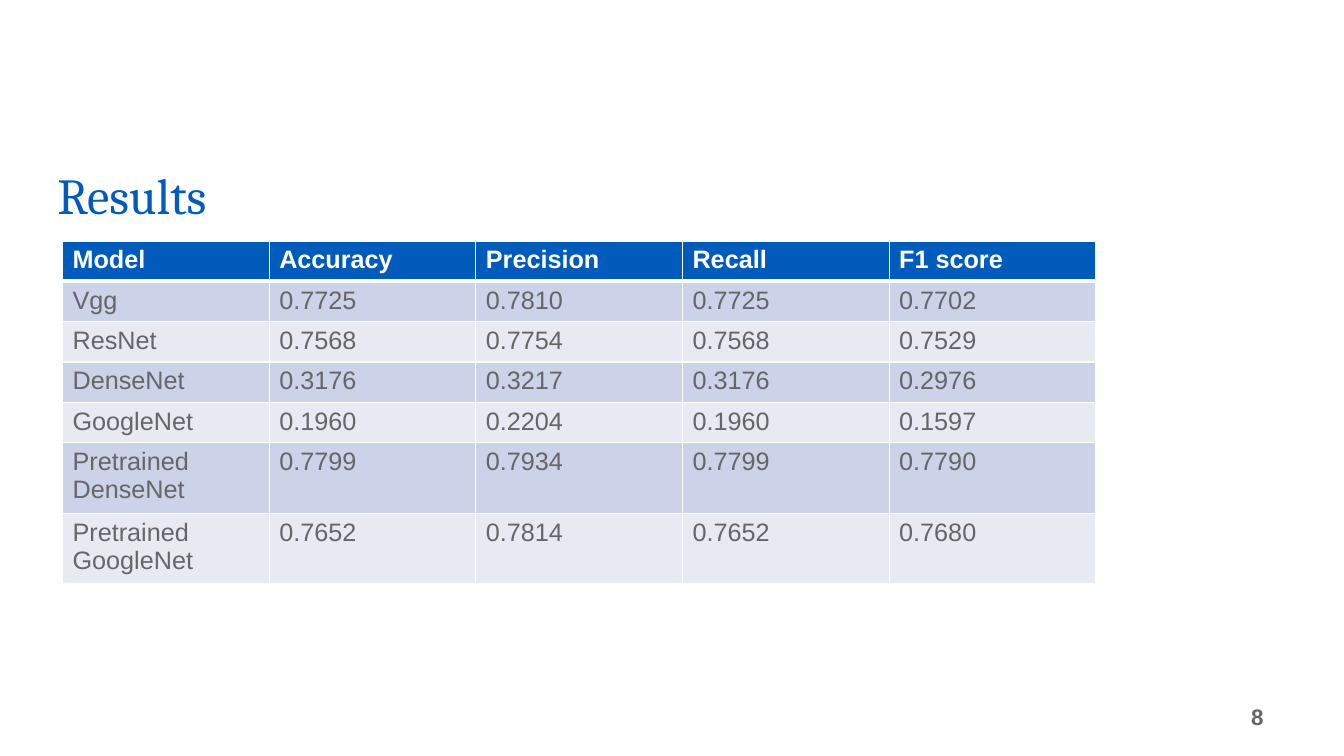
import lxml.etree
import pptx
import pptx.dml.color
import pptx.enum.text
import pptx.oxml.ns
import pptx.util

Inches = pptx.util.Inches
ALIGN = pptx.enum.text.PP_ALIGN
ANCHOR = pptx.enum.text.MSO_ANCHOR

BLUE, GRAY, WHITE = "005BBB", "666666", "FFFFFF"
BANDS = ["CCD2E7", "E7EAF3"]

RESULTS = [
    ["Model", "Accuracy", "Precision", "Recall", "F1 score"],
    ["Vgg", "0.7725", "0.7810", "0.7725", "0.7702"],
    ["ResNet", "0.7568", "0.7754", "0.7568", "0.7529"],
    ["DenseNet", "0.3176", "0.3217", "0.3176", "0.2976"],
    ["GoogleNet", "0.1960", "0.2204", "0.1960", "0.1597"],
    ["Pretrained DenseNet", "0.7799", "0.7934", "0.7799", "0.7790"],
    ["Pretrained\nGoogleNet", "0.7652", "0.7814", "0.7652", "0.7680"],
]


def rgb(color):
    """Turn a hex string into a colour."""
    return pptx.dml.color.RGBColor.from_string(color)


def style_text(text_frame, size, color, font="Arial", bold=False):
    """Format every run of a text frame."""
    for paragraph in text_frame.paragraphs:
        for run in paragraph.runs:
            run.font.size = pptx.util.Pt(size)
            run.font.name = font
            run.font.bold = bold
            run.font.color.rgb = rgb(color)


def add_label(slide, box, text, anchor, align, **style):
    """Place one line of text in a box and return its paragraph."""
    label = slide.shapes.add_textbox(*map(Inches, box)).text_frame
    label.word_wrap = True
    label.vertical_anchor = anchor
    label.text = text
    label.paragraphs[0].alignment = align
    style_text(label, **style)
    return label.paragraphs[0]


def add_borders(cell, widths):
    """Draw white cell borders, given the width in points of each side."""
    properties = cell._tc.get_or_add_tcPr()
    qn = pptx.oxml.ns.qn
    for side in "LRTB":
        line = lxml.etree.SubElement(properties, qn(f"a:ln{side}"), w=str(pptx.util.Pt(widths[side])))
        fill = lxml.etree.SubElement(line, qn("a:solidFill"))
        lxml.etree.SubElement(fill, qn("a:srgbClr"), val=WHITE)


def add_results(slide, left, top, column_width):
    """Place the table of model scores with its header and banded rows."""
    heights = [0.66 if "Pretrained" in scores[0] else 0.38 for scores in RESULTS]
    columns = len(RESULTS[0])
    table = slide.shapes.add_table(
        len(RESULTS), columns, Inches(left), Inches(top),
        Inches(column_width * columns), Inches(sum(heights))).table
    for column in table.columns:
        column.width = Inches(column_width)
    for index, scores in enumerate(RESULTS):
        header = index == 0
        table.rows[index].height = Inches(heights[index])
        for cell, score in zip(table.rows[index].cells, scores):
            cell.text_frame.text = score
            style_text(cell.text_frame, 18, WHITE if header else GRAY, bold=header)
            add_borders(cell, {"L": 1, "R": 1, "T": 3 if index == 1 else 1, "B": 3 if header else 1})
            cell.fill.solid()
            cell.fill.fore_color.rgb = rgb(BLUE if header else BANDS[(index - 1) % 2])


def build_results_slide(presentation):
    """Build the slide with its title, score table and page number."""
    slide = presentation.slides.add_slide(presentation.slide_layouts[6])
    title = add_label(slide, (0.47, 1.64, 11.5, 0.65), "Results", ANCHOR.BOTTOM,
                      ALIGN.LEFT, size=36, color=BLUE, font="Cambria")
    title.line_spacing = 0.9
    add_results(slide, 0.62, 2.39, 2.05)
    add_label(slide, (8.13, 6.91, 4.5, 0.4), "8", ANCHOR.MIDDLE,
              ALIGN.RIGHT, size=16, color=GRAY, bold=True)


def main():
    """Create and save the presentation."""
    presentation = pptx.Presentation()
    presentation.slide_width = Inches(13.33)
    presentation.slide_height = Inches(7.5)
    build_results_slide(presentation)
    presentation.save("out.pptx")


if __name__ == "__main__":
    main()
